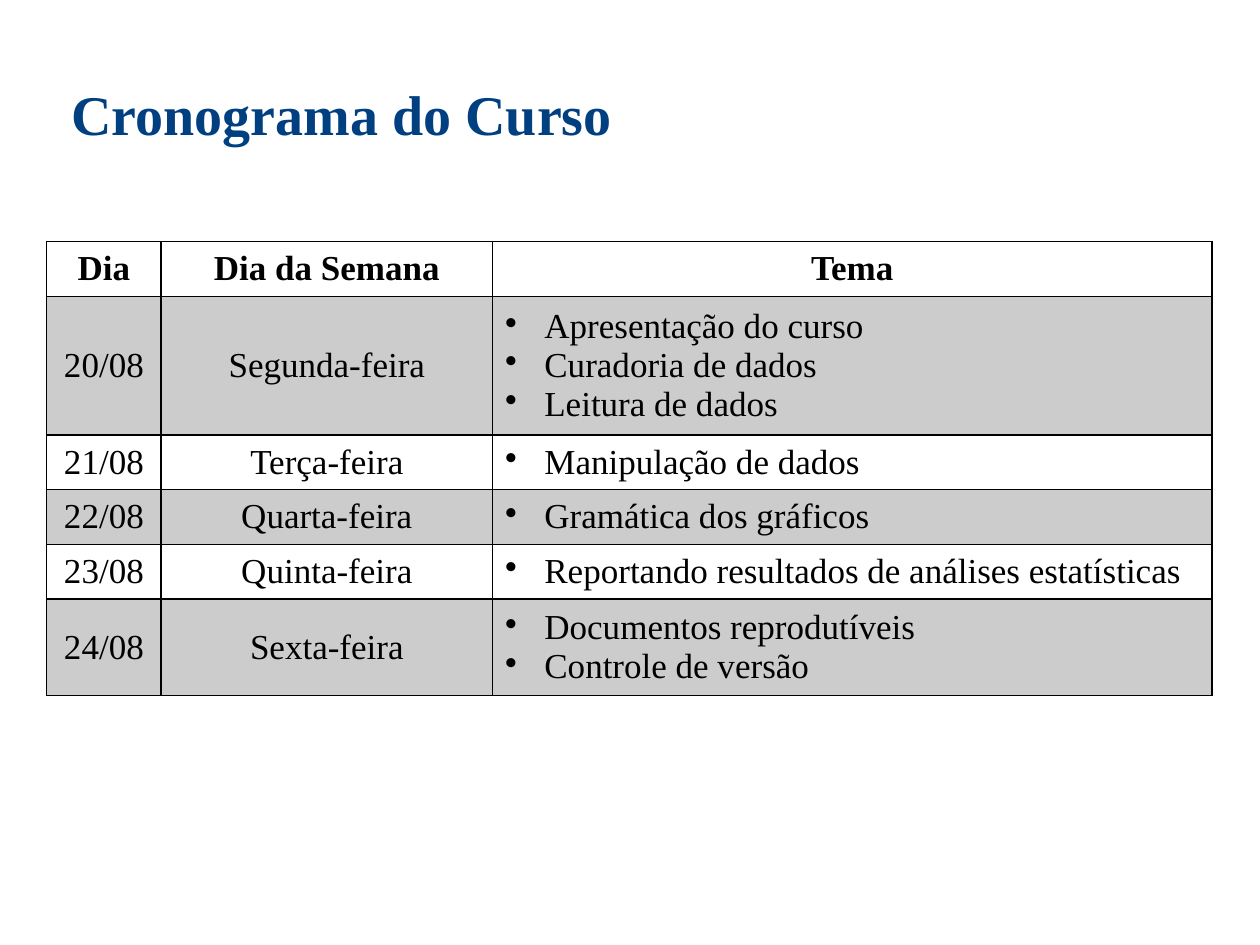
from lxml import etree
from pptx import Presentation
from pptx.dml.color import RGBColor
from pptx.enum import text as t
from pptx.oxml import ns
from pptx.util import Cm, Pt

NAVY = RGBColor(0x00, 0x40, 0x80)
BLACK = RGBColor(0x00, 0x00, 0x00)
FACE = "Times New Roman"

HEAD = ["Dia", "Dia da Semana", "Tema"]
DAYS = [
    ("20/08", "Segunda-feira",
     ["Apresentação do curso", "Curadoria de dados", "Leitura de dados"]),
    ("21/08", "Terça-feira", ["Manipulação de dados"]),
    ("22/08", "Quarta-feira", ["Gramática dos gráficos"]),
    ("23/08", "Quinta-feira", ["Reportando resultados de análises estatísticas"]),
    ("24/08", "Sexta-feira", ["Documentos reprodutíveis", "Controle de versão"]),
]
WIDE = [2.31, 6.68, 14.5]
TALL = {1: 1.1, 2: 1.95, 3: 2.79}  # row height by number of topics


def style(para, size, color, bold):
    font = para.font
    font.name, font.size, font.bold = FACE, Pt(size), bold
    font.color.rgb = color


def border(cell):
    props = cell._tc.get_or_add_tcPr()
    for spot, side in enumerate(("lnL", "lnR", "lnT", "lnB")):
        line = etree.Element(ns.qn("a:" + side), w=str(Pt(1)))
        fill = etree.SubElement(line, ns.qn("a:solidFill"))
        etree.SubElement(fill, ns.qn("a:srgbClr"), val=str(BLACK))
        props.insert(spot, line)


prs = Presentation()
prs.slide_width, prs.slide_height = Cm(25.4), Cm(19.05)
slide = prs.slides.add_slide(prs.slide_layouts[6])

# Title
box = slide.shapes.add_textbox(Cm(1.19), Cm(1.47), Cm(11.51), Cm(1.63))
frame = box.text_frame
frame.word_wrap = False
frame.auto_size = t.MSO_AUTO_SIZE.SHAPE_TO_FIT_TEXT
frame.text = "Cronograma do Curso"
style(frame.paragraphs[0], 32, NAVY, True)

# Schedule table
high = [TALL[1]] + [TALL[len(day[2])] for day in DAYS]
grid = slide.shapes.add_table(
    len(high), len(WIDE), Cm(0.94), Cm(4.87), Cm(sum(WIDE)), Cm(sum(high))).table
grid.first_row = grid.horz_banding = False
for col, wide in zip(grid.columns, WIDE):
    col.width = Cm(wide)
for row, tall in zip(grid.rows, high):
    row.height = Cm(tall)

for r, data in enumerate([HEAD] + DAYS):
    for c, item in enumerate(data):
        cell = grid.cell(r, c)
        cell.vertical_anchor = t.MSO_ANCHOR.MIDDLE
        topics = isinstance(item, list)
        cell.text = "\n".join(item) if topics else item

        for para in cell.text_frame.paragraphs:
            style(para, 20, BLACK, r == 0)
            if not topics:
                para.alignment = t.PP_ALIGN.CENTER
                continue
            # Bulleted topic with a hanging indent
            props = para._p.get_or_add_pPr()
            props.set("marL", str(Cm(0.79)))
            props.set("indent", str(-Cm(0.79)))
            mark = etree.Element(ns.qn("a:buChar"), char="•")
            props.insert(0, mark)

        # Every other row is shaded with 20% black
        if r % 2:
            cell.fill.solid()
            cell.fill.fore_color.rgb = BLACK
            tint = cell._tc.tcPr.find(".//" + ns.qn("a:srgbClr"))
            etree.SubElement(tint, ns.qn("a:alpha"), val="20000")
        else:
            cell.fill.background()
        border(cell)

prs.save("out.pptx")
